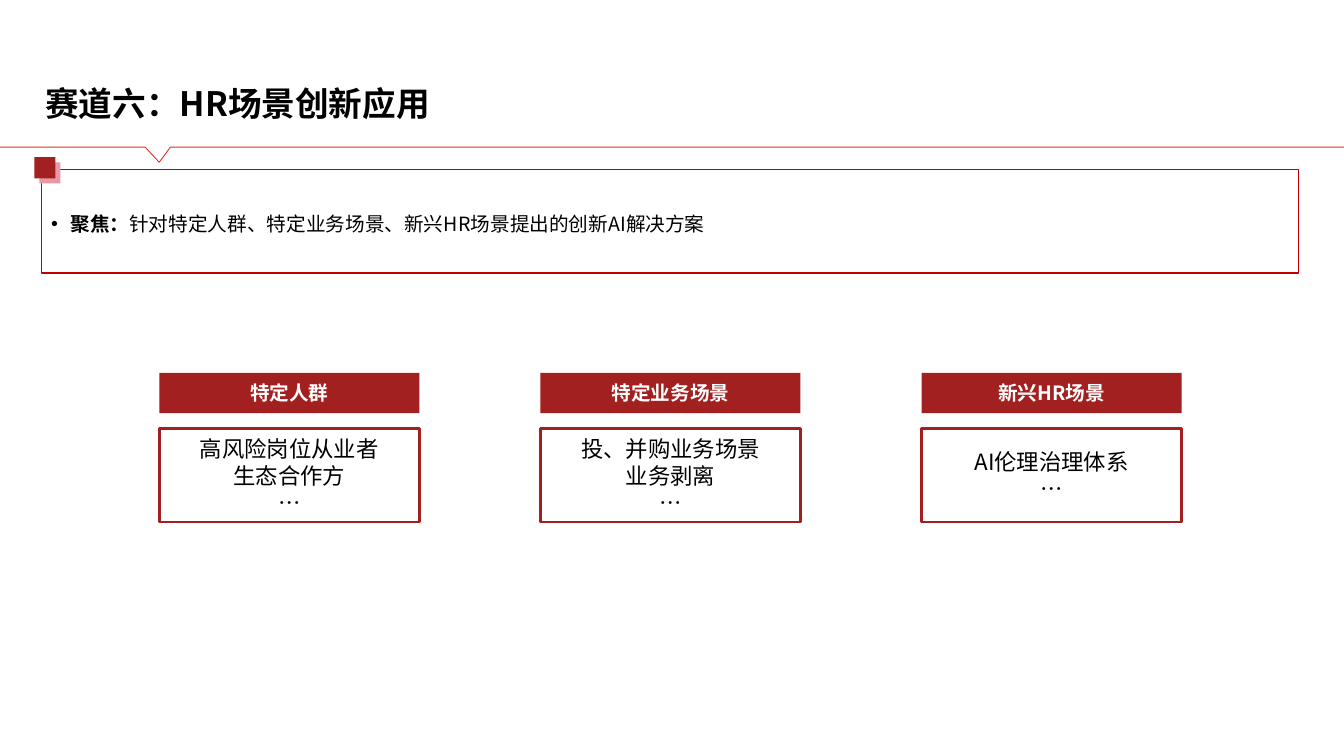
from dataclasses import dataclass

from lxml import etree
from pptx import Presentation
from pptx import util as u
from pptx.dml.color import RGBColor
from pptx.enum import shapes, text
from pptx.oxml.ns import qn

FONT = "Noto Sans CJK SC"
CRIMSON, RED, PINK = "A32020", "C00000", "E998A6"
WHITE, BLACK = "FFFFFF", "000000"
TRACK_LEFT, TRACK_PITCH, TRACK_WIDTH = 1.58, 3.78, 2.58


@dataclass
class Track:
    heading: str
    examples: list[str]


TRACKS = [
    Track("特定人群", ["高风险岗位从业者", "生态合作方", "…"]),
    Track("特定业务场景", ["投、并购业务场景", "业务剥离", "…"]),
    Track("新兴HR场景", ["AI伦理治理体系", "…"]),
]


def paint(color_format, hex_color: str) -> None:
    color_format.rgb = RGBColor.from_string(hex_color)


def style(paragraph, size: float, color: str, bold: bool | None = None,
          align=text.PP_ALIGN.CENTER) -> None:
    paragraph.alignment = align
    font = paragraph.font
    font.size, font.bold, font.name = u.Pt(size), bold, FONT
    font.fill.solid()
    paint(font.fill.fore_color, color)
    latin = paragraph._p.pPr.find(qn("a:defRPr")).find(qn("a:latin"))
    east_asian = etree.Element(qn("a:ea"), typeface=FONT)
    latin.addnext(east_asian)


def add_box(parent, left: float, top: float, width: float, height: float,
            fill: str, line: str | None = None, weight: float = 1):
    box = parent.add_shape(shapes.MSO_SHAPE.RECTANGLE, u.Inches(left), u.Inches(top),
                           u.Inches(width), u.Inches(height))
    box.shadow.inherit = False
    box.fill.solid()
    paint(box.fill.fore_color, fill)
    if line:
        paint(box.line.color, line)
        box.line.width = u.Pt(weight)
    else:
        box.line.fill.background()
    box.text_frame.vertical_anchor = text.MSO_ANCHOR.MIDDLE
    box.text_frame.word_wrap = True
    return box


def add_title(slide) -> None:
    title = slide.shapes.title
    title.left, title.top = u.Inches(0.45), u.Inches(0.82)
    title.width, title.height = u.Inches(12.43), u.Inches(0.4)
    frame = title.text_frame
    frame.text = "赛道六：HR场景创新应用"
    frame.auto_size = text.MSO_AUTO_SIZE.NONE
    frame.vertical_anchor = text.MSO_ANCHOR.BOTTOM
    frame.margin_left = frame.margin_right = frame.margin_top = frame.margin_bottom = 0
    style(frame.paragraphs[0], 24, BLACK, True, text.PP_ALIGN.LEFT)


def add_divider(slide) -> None:
    points = [(13.33, 1.46), (1.69, 1.46), (1.58, 1.61), (1.44, 1.46), (0, 1.46)]
    start, *rest = [(u.Inches(x), u.Inches(y)) for x, y in points]
    builder = slide.shapes.build_freeform(*start)
    builder.add_line_segments(rest, close=False)
    divider = builder.convert_to_shape()
    divider.shadow.inherit = False
    divider.fill.background()
    paint(divider.line.color, "E1301E")
    divider.line.width = u.Pt(0.63)


def add_focus(slide) -> None:
    group = slide.shapes.add_group_shape().shapes
    focus = add_box(group, 0.41, 1.68, 12.47, 1.03, WHITE, RED)
    paragraph = focus.text_frame.paragraphs[0]
    properties = paragraph._p.get_or_add_pPr()
    properties.set("marL", str(u.Inches(0.19)))
    properties.set("indent", str(-u.Inches(0.19)))
    etree.SubElement(properties, qn("a:buFont"), typeface="Arial")
    etree.SubElement(properties, qn("a:buChar"), char="•")
    paragraph.line_spacing = 1.2
    style(paragraph, 14, BLACK, align=text.PP_ALIGN.LEFT)
    label, statement = paragraph.add_run(), paragraph.add_run()
    label.text = "聚焦："
    label.font.bold = True
    statement.text = "针对特定人群、特定业务场景、新兴HR场景提出的创新AI解决方案"
    add_box(group, 0.39, 1.61, 0.21, 0.21, PINK)
    add_box(group, 0.34, 1.56, 0.21, 0.21, CRIMSON)


def add_track(slide, track: Track, left: float) -> None:
    heading = add_box(slide.shapes, left, 3.7, TRACK_WIDTH, 0.4, CRIMSON)
    heading.text_frame.text = track.heading
    style(heading.text_frame.paragraphs[0], 14, WHITE, True)
    examples = add_box(slide.shapes, left, 4.25, TRACK_WIDTH, 0.93, WHITE, CRIMSON, 2)
    examples.text_frame.text = "\n".join(track.examples)
    for paragraph in examples.text_frame.paragraphs:
        style(paragraph, 16, BLACK)


def main() -> None:
    deck = Presentation()
    deck.slide_width, deck.slide_height = u.Inches(13.33), u.Inches(7.5)
    slide = deck.slides.add_slide(deck.slide_layouts[5])
    add_divider(slide)
    add_title(slide)
    add_focus(slide)
    for index, track in enumerate(TRACKS):
        add_track(slide, track, TRACK_LEFT + index * TRACK_PITCH)
    deck.save("out.pptx")


if __name__ == "__main__":
    main()
